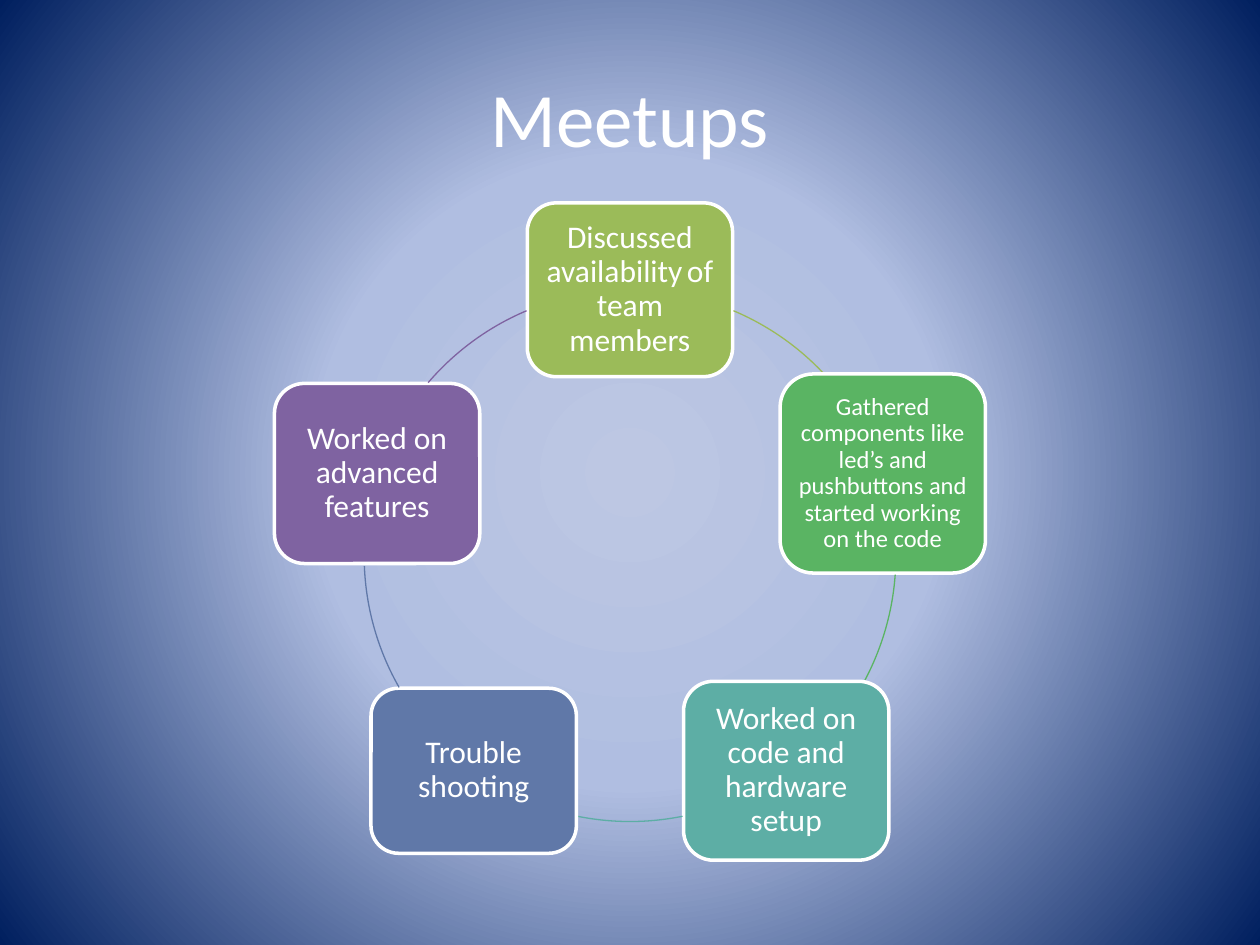
from math import cos, radians, sin

from pptx import Presentation
from pptx.dml.color import RGBColor
from pptx.enum.shapes import MSO_SHAPE as Shape
from pptx.enum.text import MSO_ANCHOR as Anchor, PP_ALIGN as Align
from pptx.oxml import parse_xml
from pptx.oxml.ns import nsdecls
from pptx.util import Inches, Pt

WHITE = RGBColor(0xFF, 0xFF, 0xFF)
OLIVE = RGBColor(0x9B, 0xBB, 0x59)
GREEN = RGBColor(0x5A, 0xB4, 0x63)
TEAL = RGBColor(0x5D, 0xAE, 0xA5)
BLUE = RGBColor(0x60, 0x78, 0xA8)
PURPLE = RGBColor(0x7F, 0x63, 0xA1)
BACKDROP = {0: "BDC7E3", 40: "B0BEE1", 100: "001F5F"}

CENTER_X, CENTER_Y, RADIUS = 5, 4.41, 2.11
BOX_WIDTH = 1.63
ARC_UNITS_PER_DEGREE = 0.6

STEPS = [
    ("Discussed availability of team members", OLIVE, 1.38, 18, 11, 0.07, (292.9, 316.5)),
    ("Gathered components like led’s and pushbuttons and started working on the code",
     GREEN, 1.58, 14, 14, 0.06, (4.1, 27.9)),
    ("Worked on code and hardware setup", TEAL, 1.42, 18, 18, 0.07, (78.6, 101.4)),
    ("Trouble shooting", BLUE, 1.31, 18, 18, 0.07, (150.3, 177.8)),
    ("Worked on advanced features", PURPLE, 1.43, 18, 18, 0.07, (220.6, 247.1)),
]


def add_span(para, text, size):
    span = para.add_run()
    span.text = text
    for name, value in {"name": "Calibri", "size": Pt(size)}.items():
        setattr(span.font, name, value)
    span.font.color.rgb = WHITE


deck = Presentation()
deck.slide_width, deck.slide_height = Inches(10), Inches(7.5)
page = deck.slides.add_slide(deck.slide_layouts[5])

page.background.fill.solid()
backdrop = page.element.xpath(".//p:bgPr")[0]
stops = "".join(
    f'<a:gs pos="{percent * 1000}"><a:srgbClr val="{color}"/></a:gs>'
    for percent, color in BACKDROP.items()
)
gradient = parse_xml(
    f'<a:gradFill {nsdecls("a")} rotWithShape="1"><a:gsLst>{stops}</a:gsLst>'
    '<a:path path="circle"><a:fillToRect l="50000" t="50000" r="50000" b="50000"/>'
    "</a:path></a:gradFill>"
)
backdrop.replace(backdrop[0], gradient)

title = page.shapes.title
title_place = {"left": 0.5, "top": 0.3, "width": 9, "height": 1.25}
for name, value in title_place.items():
    setattr(title, name, Inches(value))
title.text_frame.vertical_anchor = Anchor.MIDDLE
title_para = title.text_frame.paragraphs[0]
title_para.alignment = Align.CENTER
add_span(title_para, "Meetups", 44)

for index, (text, color, height, size, gap_size, inset, angles) in enumerate(STEPS):
    turn = radians(index * 360 / len(STEPS) - 90)
    box = page.shapes.add_shape(
        Shape.ROUNDED_RECTANGLE,
        Inches(CENTER_X + RADIUS * cos(turn) - BOX_WIDTH / 2),
        Inches(CENTER_Y + RADIUS * sin(turn) - height / 2),
        Inches(BOX_WIDTH),
        Inches(height),
    )
    box.shadow.inherit = False
    box.fill.solid()
    box.fill.fore_color.rgb = color
    box.line.color.rgb = WHITE
    box.line.width = Pt(2)

    frame = box.text_frame
    frame.word_wrap = True
    frame.vertical_anchor = Anchor.MIDDLE
    for side in ("left", "right", "top", "bottom"):
        setattr(frame, f"margin_{side}", Inches(inset))
    para = frame.paragraphs[0]
    para.alignment = Align.CENTER
    para.line_spacing = 0.9
    if gap_size == size:
        add_span(para, text, size)
    else:
        for position, word in enumerate(text.split()):
            if position:
                add_span(para, " ", gap_size)
            add_span(para, word, size)

    arc = page.shapes.add_shape(
        Shape.ARC,
        Inches(CENTER_X - RADIUS),
        Inches(CENTER_Y - RADIUS),
        Inches(2 * RADIUS),
        Inches(2 * RADIUS),
    )
    for end, angle in enumerate(angles):
        arc.adjustments[end] = angle * ARC_UNITS_PER_DEGREE
    arc.shadow.inherit = False
    arc.fill.background()
    arc.line.color.rgb = color
    arc.line.width = Pt(0.75)

deck.save("out.pptx")
